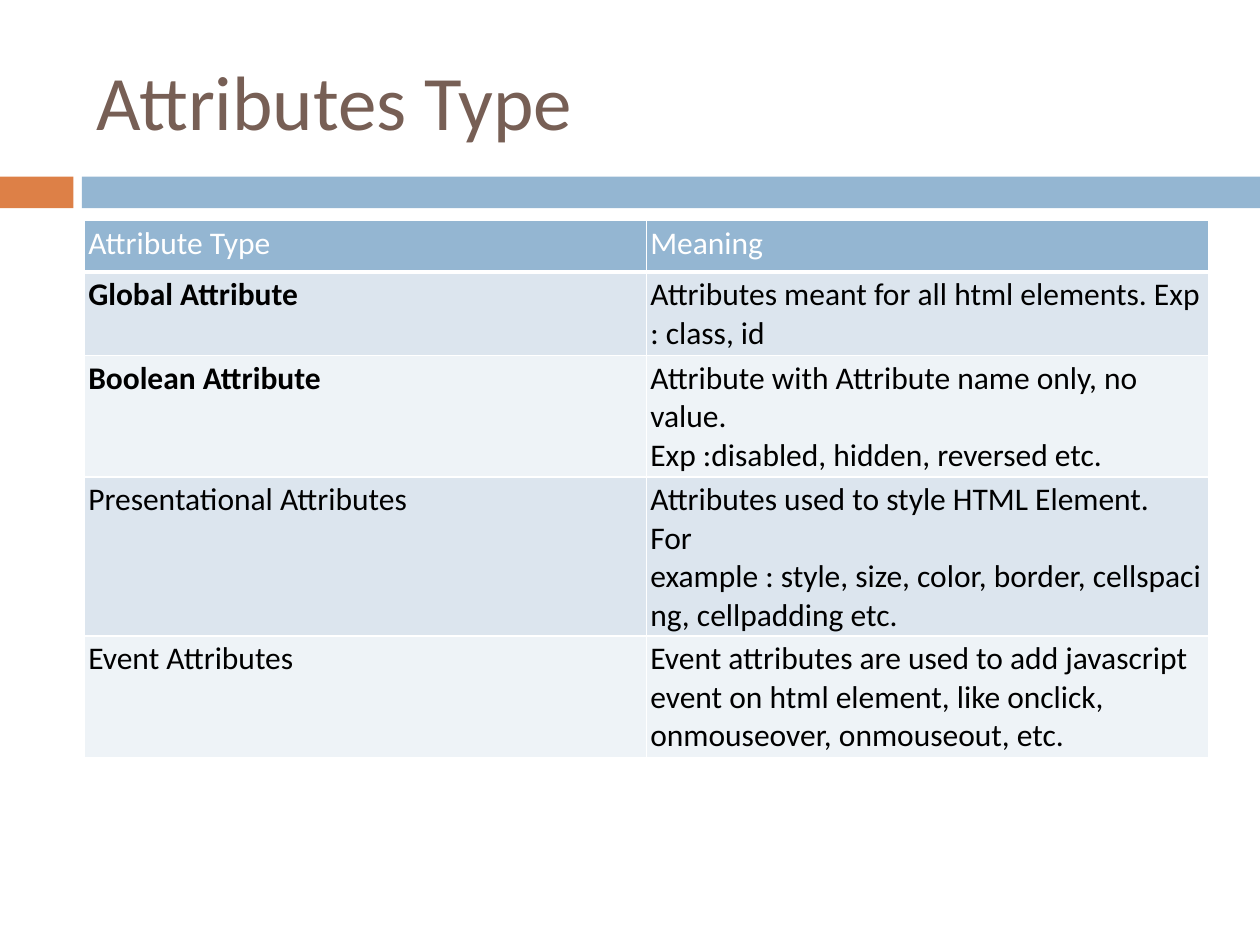
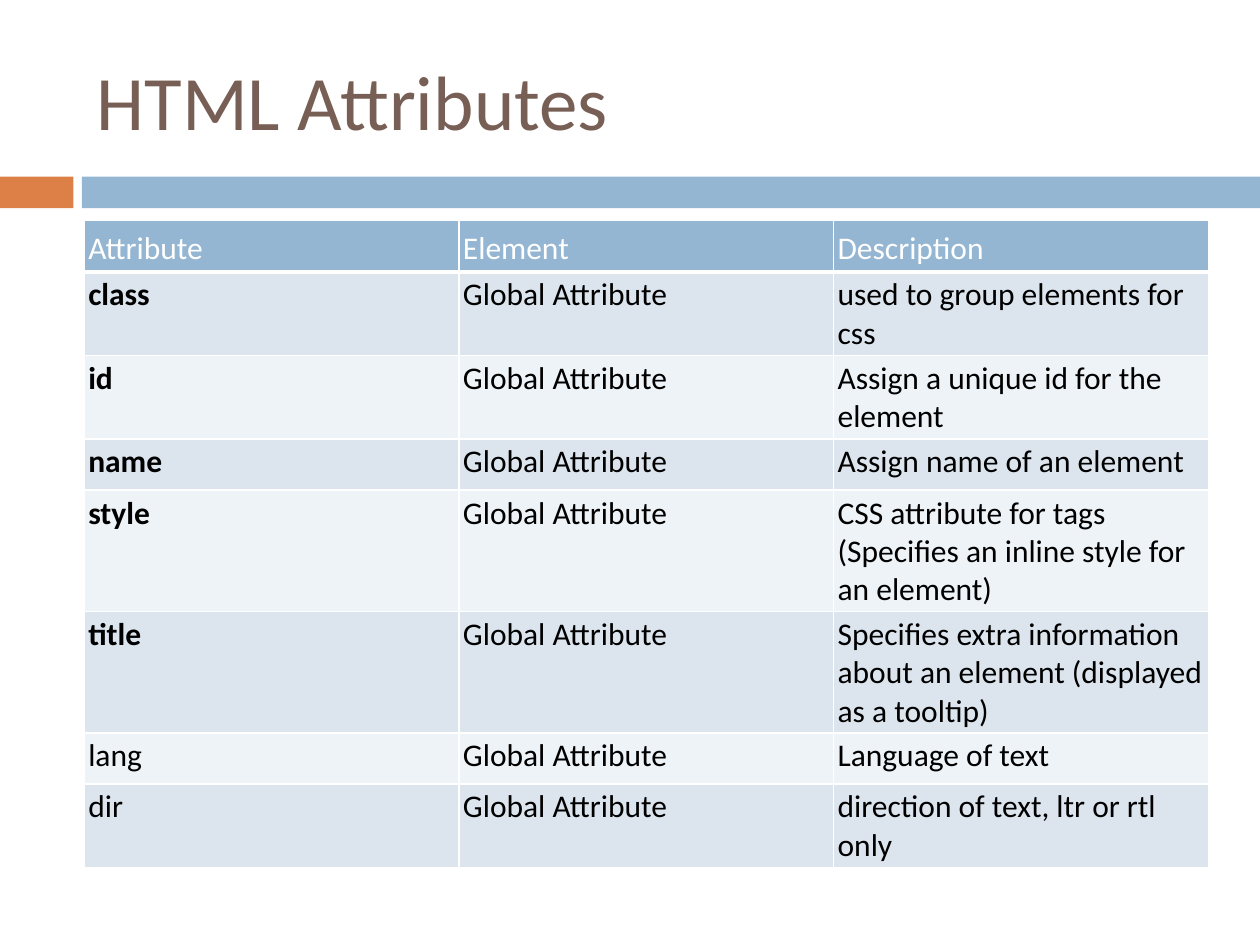
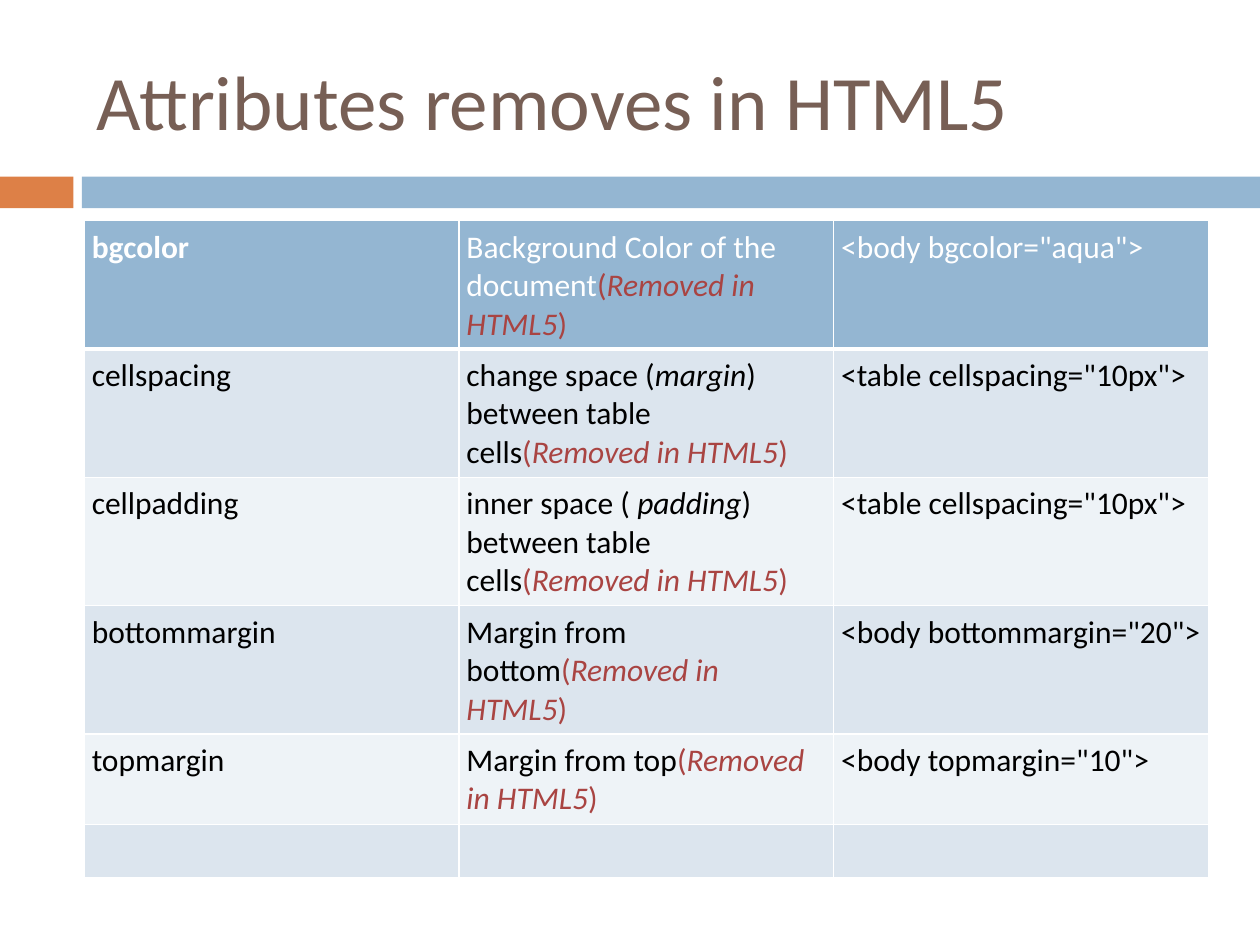
from collections import namedtuple
from dataclasses import dataclass

from lxml import etree
from pptx import Presentation
from pptx.dml.color import RGBColor
from pptx.enum.shapes import MSO_SHAPE
from pptx.enum.text import MSO_ANCHOR
from pptx.oxml.ns import qn
from pptx.util import Cm, Pt

RECTANGLE = MSO_SHAPE.RECTANGLE
TOP, MIDDLE, BOTTOM = MSO_ANCHOR.TOP, MSO_ANCHOR.MIDDLE, MSO_ANCHOR.BOTTOM
BLANK_LAYOUT = 6

Box = namedtuple("Box", "left top width height")


@dataclass(frozen=True)
class Theme:
    """Colours, font and type sizes shared by the slides."""
    font: str = "Calibri"
    title_size: int = 44
    table_size: int = 18
    title: str = "775F55"
    accent: str = "DD8047"
    band: str = "94B6D2"
    stripes: tuple = ("EEF3F7", "DCE5EE")
    light: str = "FFFFFF"
    dark: str = "000000"
    removed: str = "A94442"
    rule: int = 1
    header_rule: int = 3


THEME = Theme()
SLIDE_WIDTH, SLIDE_HEIGHT = Cm(25.4), Cm(19.05)
BAND_BOX = Box(Cm(0), Cm(3.56), SLIDE_WIDTH, Cm(0.64))
TITLE_BOX = Box(Cm(1.7), Cm(0.64), Cm(22.66), Cm(2.74))
TABLE_BOX = Box(Cm(1.7), Cm(4.45), Cm(22.66), Cm(12.5))
ACCENT_WIDTH, BAND_GAP = Cm(1.48), Cm(0.17)
ROW_HEIGHT = Cm(1.03)
TIGHT, ROOMY = Cm(0.08), Cm(0.15)

BOLD = {"bold": True}
ITALIC = {"italic": True}
RED = {"color": THEME.removed}
REMOVED = [("(", RED), ("Removed in HTML5", RED | ITALIC), (")", RED)]

ATTRIBUTE_TYPES = [
    ["Attribute Type", "Meaning"],
    [[("Global Attribute", BOLD)],
     "Attributes meant for all html elements. Exp :\u00a0class,\u00a0id"],
    [[("Boolean Attribute", BOLD)],
     "Attribute with Attribute name only, no value.\n"
     "Exp :disabled,\u00a0hidden,\u00a0reversed\u00a0etc."],
    ["Presentational Attributes",
     "Attributes used to style HTML Element.\n"
     "For example :\u00a0style,\u00a0size,\u00a0color,\u00a0border,"
     "\u00a0cellspacing,\u00a0cellpadding\u00a0etc."],
    ["Event Attributes",
     "Event attributes are used to add javascript event on html element, "
     "like onclick, onmouseover, onmouseout, etc."],
]

GLOBAL_ATTRIBUTES = [
    ([("class", BOLD)], "used to group elements for css"),
    ([("id", BOLD)], "Assign a unique id for the element"),
    ([("name", BOLD)], "Assign name of an element"),
    ([("style", BOLD)],
     "CSS attribute for tags (Specifies an inline style for an element)"),
    ([("title", BOLD)],
     "Specifies extra information about an element (displayed as a tooltip)"),
    ("lang", "Language of text"),
    ("dir", "direction of text, ltr or rtl only"),
]
HTML_ATTRIBUTES = [["Attribute", "Element", "Description"]] + [
    [attribute, "Global Attribute", description]
    for attribute, description in GLOBAL_ATTRIBUTES
]

REMOVED_ATTRIBUTES = [
    [[("bgcolor", BOLD)],
     [("Background Color of the document", {}), *REMOVED],
     '<body bgcolor="aqua">'],
    ["cellspacing",
     [("change space (", {}), ("margin", ITALIC),
      (") between table cells", {}), *REMOVED],
     '<table cellspacing="10px">'],
    ["cellpadding",
     [("inner space (\u00a0", {}), ("padding", ITALIC),
      (") between table cells", {}), *REMOVED],
     '<table cellspacing="10px">'],
    ["bottommargin", [("Margin from bottom", {}), *REMOVED],
     '<body bottommargin="20">'],
    ["topmargin", [("Margin from top", {}), *REMOVED],
     '<body topmargin="10">'],
    ["", "", ""],
]


def write_text(paragraph, text, *, size, color, bold=False, italic=False):
    """Append formatted text to a paragraph, with newlines as line breaks."""
    for number, line in enumerate(text.split("\n")):
        if number:
            paragraph.add_line_break()
        run = paragraph.add_run()
        run.text = line
        run.font.name = THEME.font
        run.font.size = Pt(size)
        run.font.bold = bold
        run.font.italic = italic
        run.font.color.rgb = RGBColor.from_string(color)


def add_block(slide, box, color):
    """Draw a plain filled rectangle."""
    block = slide.shapes.add_shape(RECTANGLE, *box)
    block.shadow.inherit = False
    block.fill.solid()
    block.fill.fore_color.rgb = RGBColor.from_string(color)
    block.line.fill.background()


def add_band(slide, box):
    """Draw the accent block and the band that fills the rest of the box."""
    add_block(slide, box._replace(width=ACCENT_WIDTH), THEME.accent)
    offset = ACCENT_WIDTH + BAND_GAP
    add_block(slide, box._replace(left=box.left + offset,
                                  width=box.width - offset), THEME.band)


def add_title(slide, box, text):
    """Place the slide title in the box, centred vertically."""
    frame = slide.shapes.add_textbox(*box).text_frame
    frame.word_wrap = True
    frame.vertical_anchor = MIDDLE
    write_text(frame.paragraphs[0], text,
               size=THEME.title_size, color=THEME.title)


def set_borders(cell, bottom):
    """Rule the four sides of a cell, with its own weight at the bottom."""
    properties = cell._tc.get_or_add_tcPr()
    for side in "LRTB":
        weight = bottom if side == "B" else THEME.rule
        line = etree.SubElement(properties, qn(f"a:ln{side}"), w=str(Pt(weight)))
        fill = etree.SubElement(line, qn("a:solidFill"))
        etree.SubElement(fill, qn("a:srgbClr"), val=THEME.light)


def fill_cell(cell, content, *, header, background, inset, anchor):
    """Set the rules, fill, margins and text of one cell."""
    set_borders(cell, THEME.header_rule if header else THEME.rule)
    cell.fill.solid()
    cell.fill.fore_color.rgb = RGBColor.from_string(background)
    cell.margin_left = cell.margin_right = inset
    cell.margin_top = cell.margin_bottom = inset
    cell.vertical_anchor = anchor
    base = {"size": THEME.table_size,
            "color": THEME.light if header else THEME.dark}
    parts = [(content, {})] if isinstance(content, str) else content
    for text, changes in parts:
        if text:
            write_text(cell.text_frame.paragraphs[0], text, **(base | changes))


def add_attribute_table(slide, box, rows, inset, header_anchor):
    """Place a striped table with equal columns in the box."""
    holder = slide.shapes.add_table(len(rows), len(rows[0]), *box)
    table = holder.table
    table.horz_banding = False
    for number, contents in enumerate(rows):
        header = number == 0
        table.rows[number].height = ROW_HEIGHT
        for column, content in enumerate(contents):
            fill_cell(table.cell(number, column), content, header=header,
                      background=THEME.band if header
                      else THEME.stripes[number % 2],
                      inset=inset, anchor=header_anchor if header else TOP)
    holder.height = box.height


def add_table_slide(deck, title, rows, inset, header_anchor=TOP):
    """Add a slide with the band, a title and a table."""
    slide = deck.slides.add_slide(deck.slide_layouts[BLANK_LAYOUT])
    add_band(slide, BAND_BOX)
    add_title(slide, TITLE_BOX, title)
    add_attribute_table(slide, TABLE_BOX, rows, inset, header_anchor)


def main():
    """Build and save the deck."""
    deck = Presentation()
    deck.slide_width, deck.slide_height = SLIDE_WIDTH, SLIDE_HEIGHT
    add_table_slide(deck, "Attributes Type", ATTRIBUTE_TYPES, TIGHT)
    add_table_slide(deck, "HTML Attributes", HTML_ATTRIBUTES, TIGHT, BOTTOM)
    add_table_slide(deck, "Attributes removes in HTML5", REMOVED_ATTRIBUTES, ROOMY)
    deck.save("out.pptx")


main()
